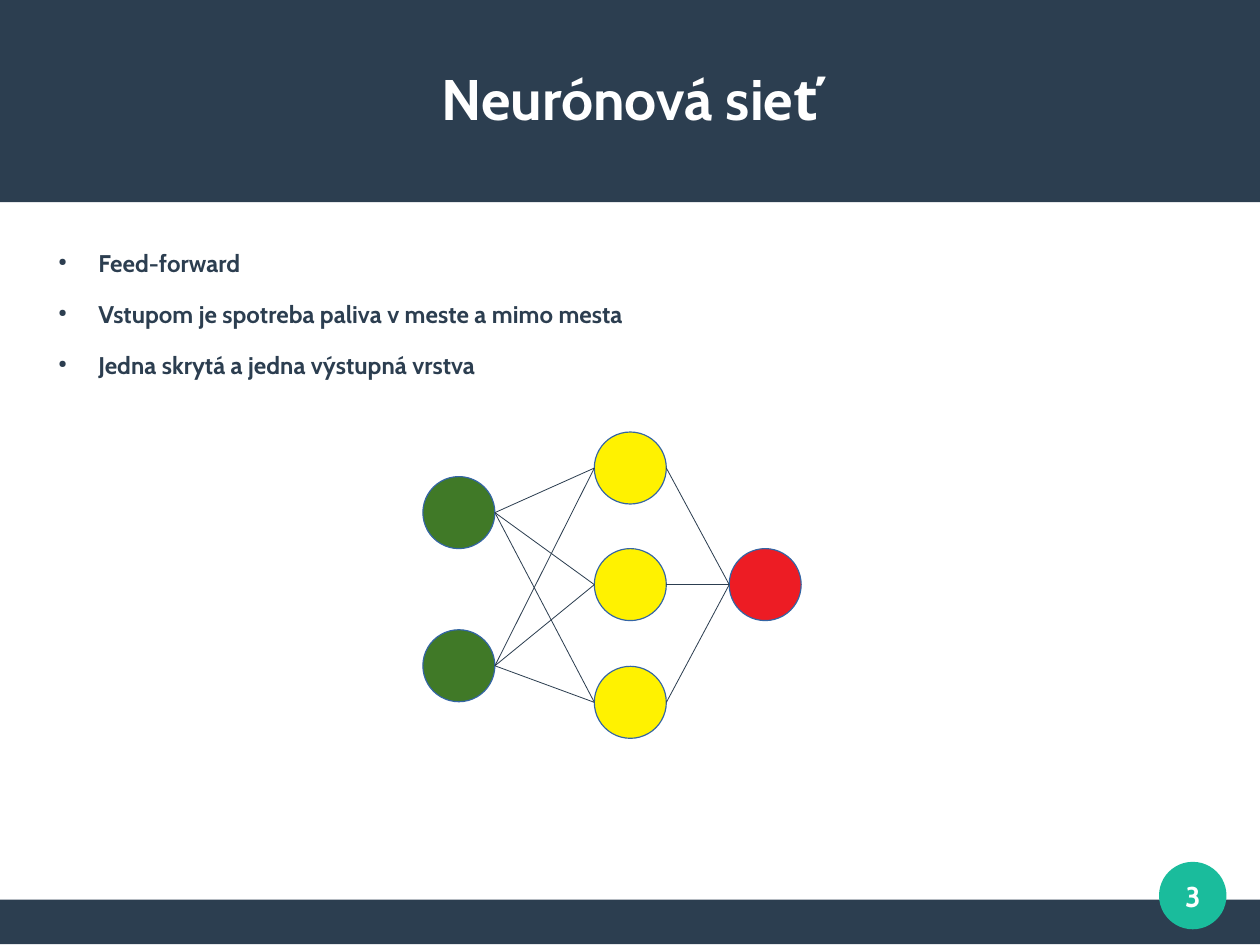
"""Build a slide that shows a small feed-forward neural network."""
from dataclasses import dataclass
from itertools import product

from lxml import etree
from pptx import Presentation
from pptx.dml.color import RGBColor
from pptx.enum.shapes import MSO_CONNECTOR, MSO_SHAPE
from pptx.enum.text import MSO_ANCHOR, PP_ALIGN
from pptx.oxml.ns import qn
from pptx.shapes.autoshape import Shape
from pptx.shapes.shapetree import SlideShapes
from pptx.text.text import _Paragraph
from pptx.util import Inches, Pt

RECT, OVAL = MSO_SHAPE.RECTANGLE, MSO_SHAPE.OVAL
LINE = MSO_CONNECTOR.STRAIGHT
TOP, MIDDLE = MSO_ANCHOR.TOP, MSO_ANCHOR.MIDDLE
LEFT, CENTER = PP_ALIGN.LEFT, PP_ALIGN.CENTER

NAVY = RGBColor(0x2C, 0x3E, 0x50)
TEAL = RGBColor(0x1A, 0xBC, 0x9C)
WHITE = RGBColor(0xFF, 0xFF, 0xFF)
GREEN = RGBColor(0x40, 0x79, 0x27)
YELLOW = RGBColor(0xFF, 0xF2, 0x00)
RED = RGBColor(0xED, 0x1C, 0x24)
BLUE = RGBColor(0x34, 0x65, 0xA4)

FONT = "Cabin"
WIDTH, HEIGHT = 28 / 2.54, 21 / 2.54
NODE = 0.63


@dataclass
class Box:
    """Place and size in inches."""
    left: float
    top: float
    width: float
    height: float


@dataclass
class Layer:
    """One column of neurons."""
    left: float
    tops: list[float]
    color: RGBColor


@dataclass
class Label:
    """A text box and its look."""
    box: Box
    lines: list[str]
    size: float
    color: RGBColor
    align: PP_ALIGN = CENTER
    anchor: MSO_ANCHOR = MIDDLE


BANDS = [Box(0, 7.87, WIDTH, 0.39), Box(0, 0, WIDTH, 1.77)]
BADGE = Box(10.14, 7.54, 0.59, 0.59)
LAYERS = [
    Layer(3.7, [4.17, 5.51], GREEN),
    Layer(5.2, [3.78, 4.8, 5.83], YELLOW),
    Layer(6.38, [4.8], RED),
]
TITLE = Label(Box(0.39, 0.33, 10.24, 1.05), ["Neurónová sieť"], 36, WHITE)
BODY = Label(Box(0.39, 2.17, 10.39, 1.06), [
    "Feed-forward",
    "Vstupom je spotreba paliva v meste a mimo mesta",
    "Jedna skrytá a jedna výstupná vrstva",
], 15.2, NAVY, LEFT, TOP)
NUMBER = Label(Box(10.04, 7.44, 0.79, 0.79), ["3"], 18, WHITE)


def place(box: Box) -> list[Inches]:
    """Turn a box into lengths."""
    return [Inches(v) for v in (box.left, box.top, box.width, box.height)]


def draw_shape(shapes: SlideShapes, kind: MSO_SHAPE, box: Box, color: RGBColor) -> Shape:
    """Draw a plain filled shape."""
    shape = shapes.add_shape(kind, *place(box))
    shape.shadow.inherit = False
    shape.fill.solid()
    shape.fill.fore_color.rgb = color
    shape.line.fill.background()
    return shape


def draw_layer(shapes: SlideShapes, layer: Layer) -> None:
    """Draw the neurons of a layer."""
    for top in layer.tops:
        node = draw_shape(shapes, OVAL, Box(layer.left, top, NODE, NODE), layer.color)
        node.line.color.rgb = BLUE
        node.line.width = Pt(0)


def draw_links(shapes: SlideShapes, start: Layer, end: Layer) -> None:
    """Join every neuron of one layer to every neuron of the next."""
    for a, b in product(start.tops, end.tops):
        link = shapes.add_connector(
            LINE, Inches(start.left + NODE), Inches(a + NODE / 2),
            Inches(end.left), Inches(b + NODE / 2))
        link.line.color.rgb = NAVY
        link.line.width = Pt(0.5)
        etree.SubElement(link._element.spPr, qn("a:effectLst"))


def add_bullet(para: _Paragraph) -> None:
    """Give a paragraph a small round bullet."""
    para.space_after = Pt(14.1)
    props = para._p.get_or_add_pPr()
    props.set("marL", str(Inches(0.47)))
    props.set("indent", str(Inches(-0.35)))
    tint = etree.SubElement(props, qn("a:buClr"))
    etree.SubElement(tint, qn("a:srgbClr"), val=str(NAVY))
    etree.SubElement(props, qn("a:buSzPct"), val="45000")
    etree.SubElement(props, qn("a:buChar"), char="●")


def draw_label(shapes: SlideShapes, label: Label) -> Shape:
    """Draw a text box."""
    shape = shapes.add_textbox(*place(label.box))
    frame = shape.text_frame
    frame.word_wrap = True
    frame.vertical_anchor = label.anchor
    frame.margin_left = frame.margin_right = 0
    frame.margin_top = frame.margin_bottom = 0
    frame.text = "\n".join(label.lines)
    for para in frame.paragraphs:
        para.alignment = label.align
        for run in para.runs:
            run.font.name = FONT
            run.font.size = Pt(label.size)
            run.font.bold = True
            run.font.color.rgb = label.color
    return shape


def main() -> None:
    """Build and save the slide."""
    deck = Presentation()
    deck.slide_width, deck.slide_height = Inches(WIDTH), Inches(HEIGHT)
    shapes = deck.slides.add_slide(deck.slide_layouts[6]).shapes
    for band in BANDS:
        draw_shape(shapes, RECT, band, NAVY)
    draw_shape(shapes, OVAL, BADGE, TEAL)
    draw_label(shapes, TITLE)
    for para in draw_label(shapes, BODY).text_frame.paragraphs:
        add_bullet(para)
    for layer in LAYERS:
        draw_layer(shapes, layer)
    for start, end in zip(LAYERS, LAYERS[1:]):
        draw_links(shapes, start, end)
    draw_label(shapes, NUMBER)
    deck.save("out.pptx")


if __name__ == "__main__":
    main()
